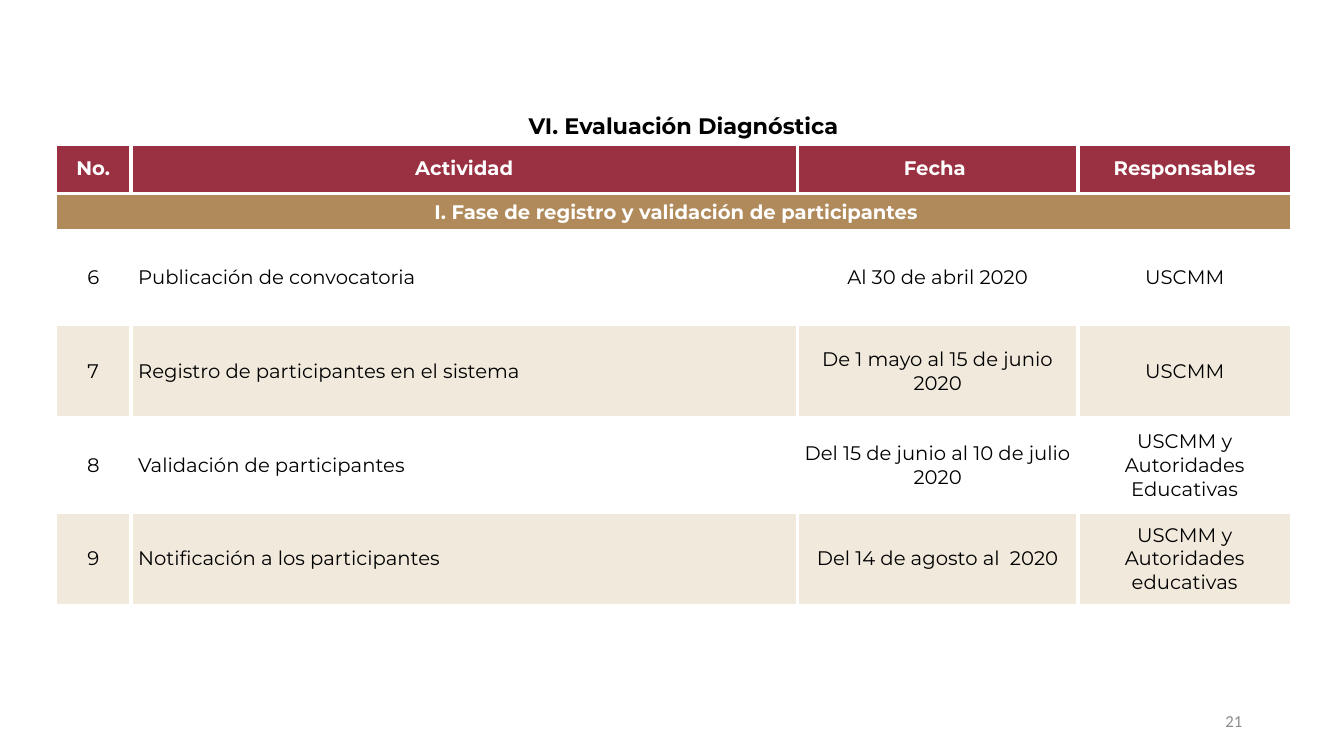
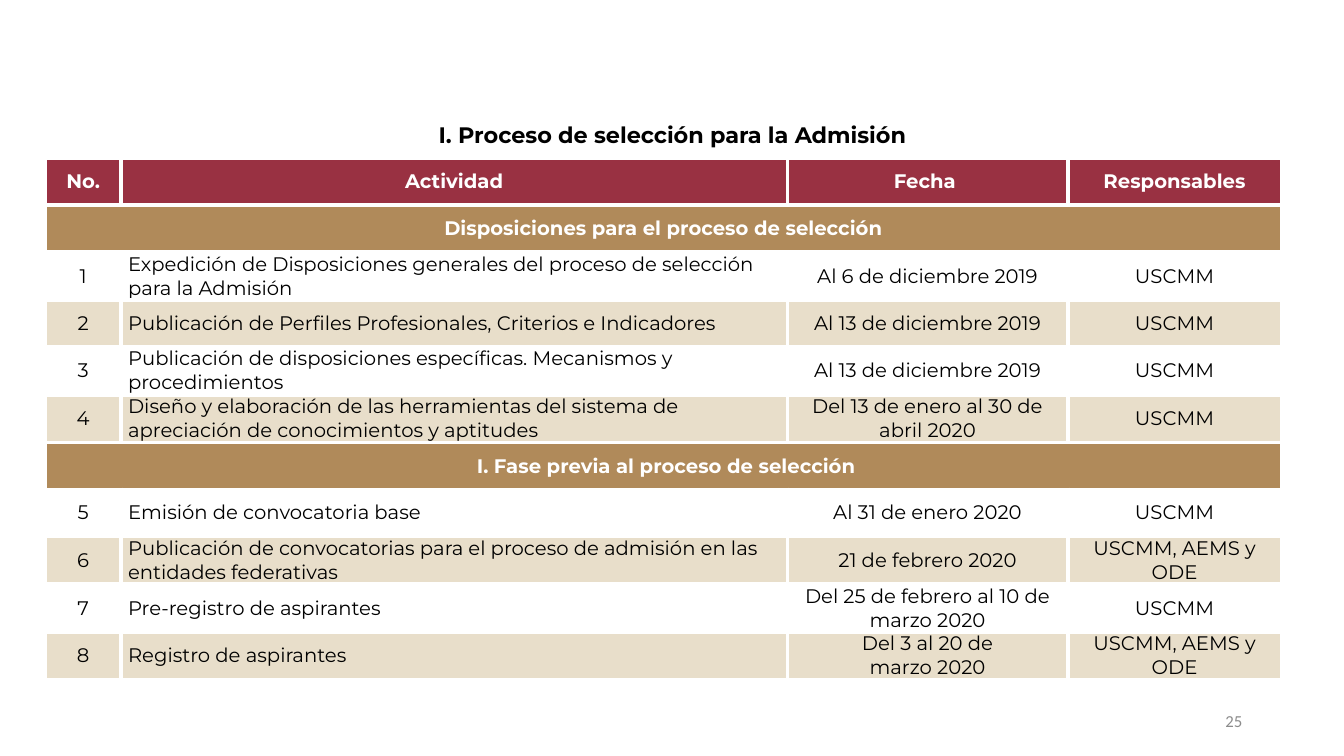
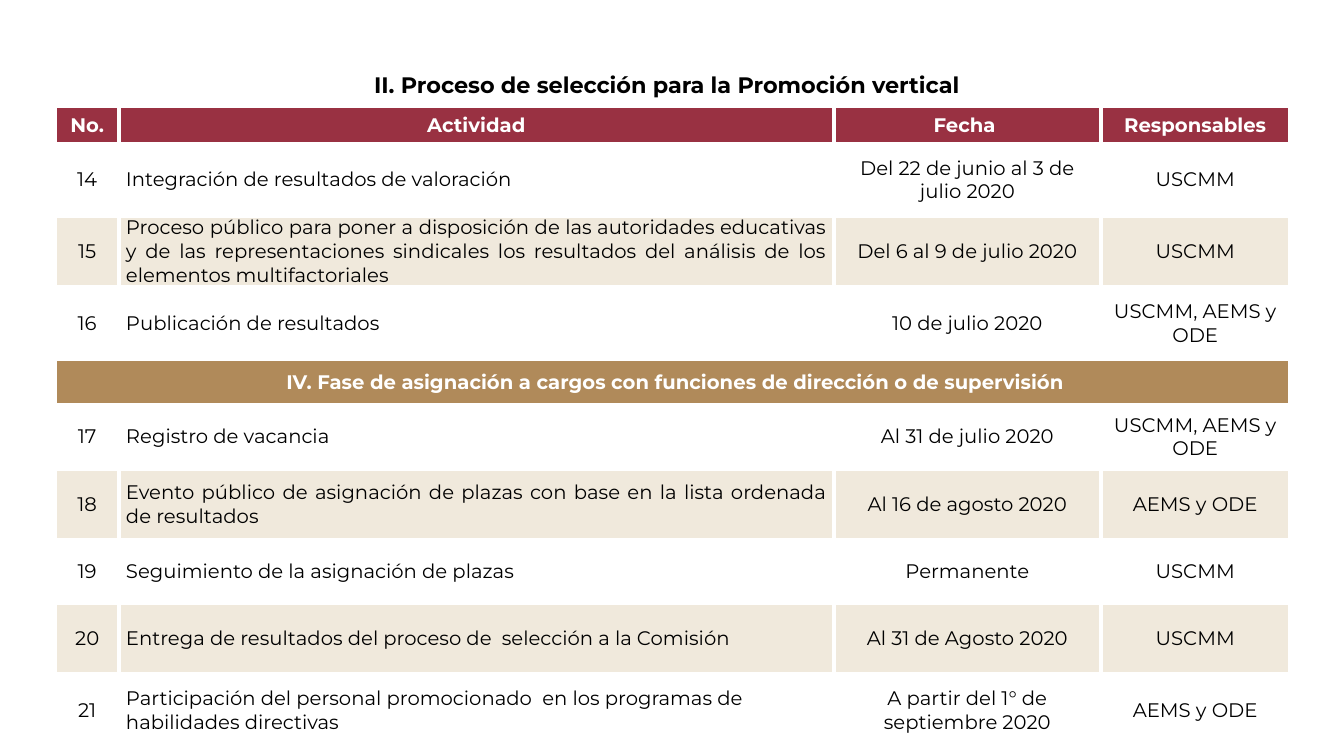
from lxml import etree
from pptx import Presentation
from pptx.dml.color import RGBColor
from pptx.enum.text import MSO_ANCHOR as Anchor, MSO_AUTO_SIZE as AutoSize, PP_ALIGN as Align
from pptx.oxml.ns import qn
from pptx.util import Inches, Pt

WHITE, BLACK, GREY = "FFFFFF", "000000", "8C8C8C"
WINE, GOLD = "993142", "B08A5A"
SAND, DARK_SAND = "F0E9DC", "E8DECA"
HEADINGS = ("No.", "Actividad", "Fecha ", "Responsables")
TITLE_HEIGHT = 0.37
BORDER_POINTS = 3

SCHEDULES = [
    {
        "title": "VI. Evaluación Diagnóstica",
        "title_at": (0.55, 1.06, 12.46),
        "title_align": Align.CENTER,
        "number": "21",
        "table_at": (0.55, 1.43),
        "columns": (0.75, 6.61, 2.78, 2.12),
        "heights": [0.49, 0.37] + [0.93] * 4,
        "tint": SAND,
        "justified": (),
        "rows": [
            (" I. Fase de registro y validación de participantes",),
            ("6", "Publicación de convocatoria", "Al 30 de abril 2020", "USCMM"),
            ("7", "Registro de participantes en el sistema", "De 1 mayo al 15 de junio 2020", "USCMM"),
            ("8", "Validación de participantes", "Del 15 de junio al 10 de julio 2020",
             "USCMM y Autoridades Educativas"),
            ("9", "Notificación a los participantes", "Del 14 de agosto al  2020",
             "USCMM y Autoridades educativas"),
        ],
    },
    {
        "title": "I. Proceso de selección para la Admisión",
        "title_at": (4.25, 1.15, 4.92),
        "title_align": Align.LEFT,
        "number": "25",
        "table_at": (0.45, 1.57),
        "columns": (0.75, 6.61, 2.78, 2.12),
        "heights": [5.13 / 11] * 11,
        "tint": DARK_SAND,
        "justified": ("7",),
        "rows": [
            ("Disposiciones para el proceso de selección",),
            ("1", "Expedición de Disposiciones generales del proceso de selección para la Admisión",
             "Al 6 de diciembre 2019", "USCMM"),
            ("2", "Publicación de Perfiles Profesionales, Criterios e Indicadores",
             "Al 13 de diciembre 2019", "USCMM"),
            ("3", "Publicación de disposiciones específicas. Mecanismos y procedimientos",
             "Al 13 de diciembre 2019", "USCMM"),
            ("4", "Diseño y elaboración de las herramientas del sistema de apreciación de conocimientos y aptitudes",
             "Del 13 de enero al 30 de abril 2020", "USCMM"),
            (" I. Fase previa al proceso de selección",),
            ("5", "Emisión de convocatoria base", "Al 31 de enero 2020", "USCMM"),
            ("6", "Publicación de convocatorias para el proceso de admisión en las entidades federativas",
             "21 de febrero 2020", "USCMM, AEMS y ODE"),
            ("7", "Pre-registro de aspirantes", "Del 25 de febrero al 10 de marzo 2020", "USCMM"),
            ("8", "Registro de aspirantes", "Del 3 al 20 de\nmarzo 2020", "USCMM, AEMS y ODE"),
        ],
    },
    {
        "title": "II. Proceso de selección para la Promoción vertical",
        "title_at": (3.61, 0.66, 6.12),
        "title_align": Align.LEFT,
        "number": None,
        "table_at": (0.55, 1.05),
        "columns": (0.63, 7.09, 2.65, 1.87),
        "heights": [0.38, 0.71, 0.71, 0.71, 0.46, 0.63, 0.71, 0.62, 0.71, 0.71],
        "tint": SAND,
        "justified": ("14", "15", "18"),
        "rows": [
            ("14", "Integración de resultados de valoración", "Del 22 de junio al 3 de julio 2020", "USCMM"),
            ("15", "Proceso público para poner a disposición de las autoridades educativas y de las "
             "representaciones sindicales los resultados del análisis de los elementos multifactoriales",
             "Del 6 al 9 de julio 2020", "USCMM"),
            ("16", "Publicación de resultados", "10 de julio 2020", "USCMM, AEMS y ODE"),
            (" IV. Fase de asignación a cargos con funciones de dirección o de supervisión",),
            ("17", "Registro de vacancia", "Al 31 de julio 2020", "USCMM, AEMS y ODE"),
            ("18", "Evento público de asignación de plazas con base en la lista ordenada de resultados",
             "Al 16 de agosto 2020", "AEMS y ODE"),
            ("19", "Seguimiento de la asignación de plazas", "Permanente", "USCMM"),
            ("20", "Entrega de resultados del proceso de  selección a la Comisión",
             "Al 31 de Agosto 2020", "USCMM"),
            ("21", "Participación del personal promocionado  en los programas de habilidades directivas",
             "A partir del 1° de septiembre 2020", "AEMS y ODE"),
        ],
    },
]


def color(value):
    return RGBColor.from_string(value)


def write(text_frame, text, size, ink, align, bold=False, font="Montserrat"):
    text_frame.text = text
    for paragraph in text_frame.paragraphs:
        paragraph.alignment = align
        for run in paragraph.runs:
            run.font.name = font
            run.font.size = Pt(size)
            run.font.bold = bold
            run.font.color.rgb = color(ink)


def place(shape, left, top, width, height):
    shape.left, shape.top = Inches(left), Inches(top)
    shape.width, shape.height = Inches(width), Inches(height)


def add_title(slide, schedule):
    title = slide.shapes.title
    place(title, *schedule["title_at"], TITLE_HEIGHT)
    frame = title.text_frame
    frame.auto_size = AutoSize.NONE
    frame.vertical_anchor = Anchor.TOP
    frame.word_wrap = schedule["title_align"] == Align.CENTER
    write(frame, schedule["title"], 16, BLACK, schedule["title_align"], bold=True)


def add_number(slide, number):
    box = slide.shapes.add_textbox(Inches(9.42), Inches(6.95), Inches(3), Inches(0.4))
    box.text_frame.word_wrap = True
    box.text_frame.vertical_anchor = Anchor.MIDDLE
    write(box.text_frame, number, 12, GREY, Align.RIGHT, font="Calibri")


def style_cell(cell, fill):
    properties = cell._tc.get_or_add_tcPr()
    for side in ("a:lnL", "a:lnR", "a:lnT", "a:lnB"):
        line = etree.SubElement(properties, qn(side), w=str(Pt(BORDER_POINTS)))
        solid = etree.SubElement(line, qn("a:solidFill"))
        etree.SubElement(solid, qn("a:srgbClr"), val=WHITE)
    cell.fill.solid()
    cell.fill.fore_color.rgb = color(fill)
    cell.vertical_anchor = Anchor.MIDDLE
    cell.margin_left = cell.margin_right = Inches(0.07)
    cell.margin_top = cell.margin_bottom = 0


def activity_align(number, schedule):
    return Align.JUSTIFY if number in schedule["justified"] else Align.LEFT


def add_schedule(slide, schedule):
    rows = [HEADINGS] + schedule["rows"]
    columns, heights = schedule["columns"], schedule["heights"]
    left, top = schedule["table_at"]
    table = slide.shapes.add_table(
        len(rows), len(columns), Inches(left), Inches(top),
        Inches(sum(columns)), Inches(sum(heights))).table
    table.horz_banding = False
    for column, width in zip(table.columns, columns):
        column.width = Inches(width)
    tinted = False
    for index, (values, height) in enumerate(zip(rows, heights)):
        row = table.rows[index]
        row.height = Inches(height)
        is_phase = len(values) == 1
        is_band = is_phase or index == 0
        if is_band:
            fill = GOLD if is_phase else WINE
            tinted = False
        else:
            fill = schedule["tint"] if tinted else WHITE
            tinted = not tinted
        for cell in row.cells:
            style_cell(cell, fill)
        if is_phase:
            table.cell(index, 0).merge(table.cell(index, len(columns) - 1))
        for position, text in enumerate(values):
            is_activity = position == 1 and not is_band
            align = activity_align(values[0], schedule) if is_activity else Align.CENTER
            write(table.cell(index, position).text_frame, text, 14,
                  WHITE if is_band else BLACK, align, bold=is_band)


def main():
    presentation = Presentation()
    presentation.slide_width, presentation.slide_height = Inches(13.33), Inches(7.5)
    title_only = presentation.slide_layouts[5]
    for schedule in SCHEDULES:
        slide = presentation.slides.add_slide(title_only)
        add_title(slide, schedule)
        add_schedule(slide, schedule)
        if schedule["number"]:
            add_number(slide, schedule["number"])
    presentation.save("out.pptx")


if __name__ == "__main__":
    main()
